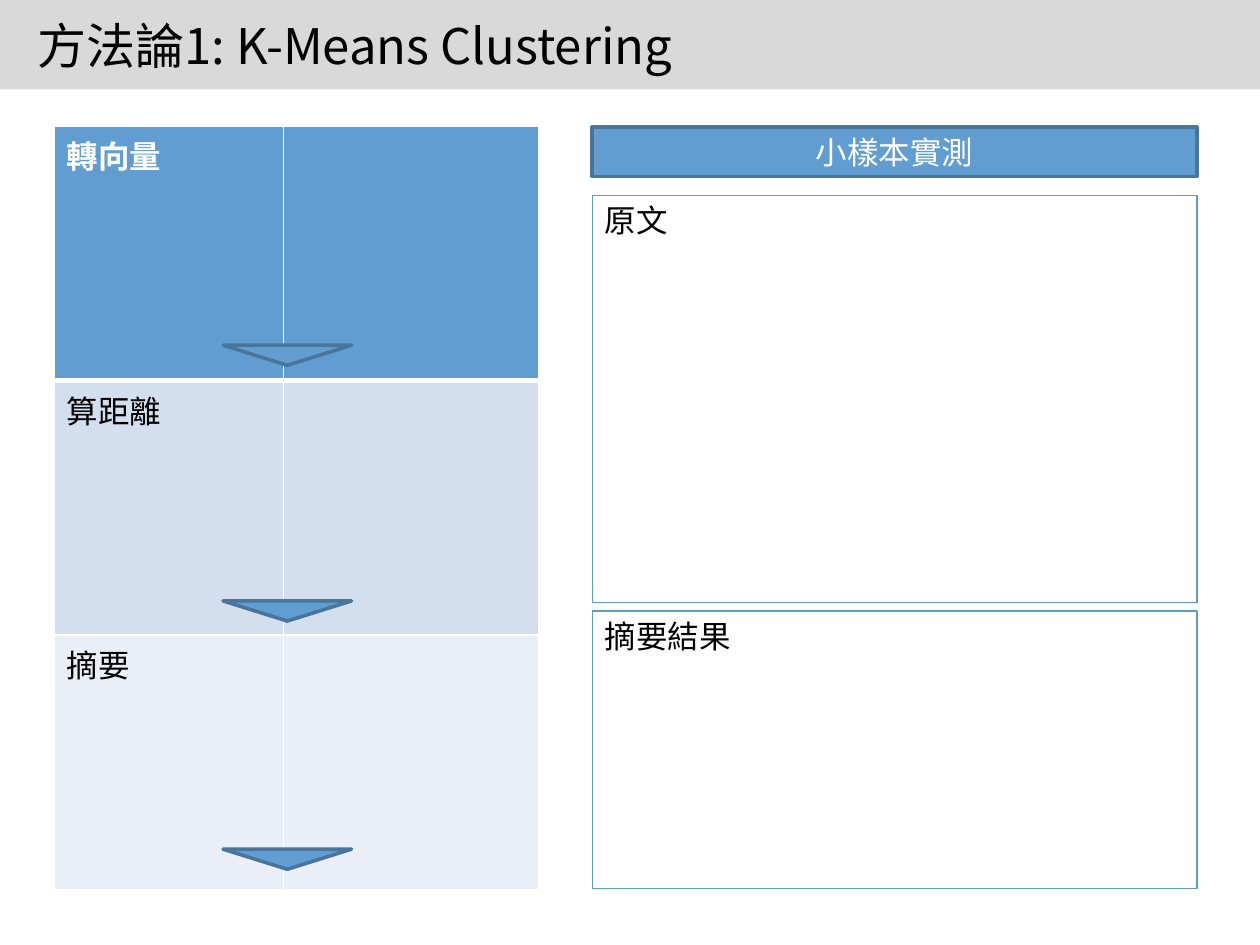
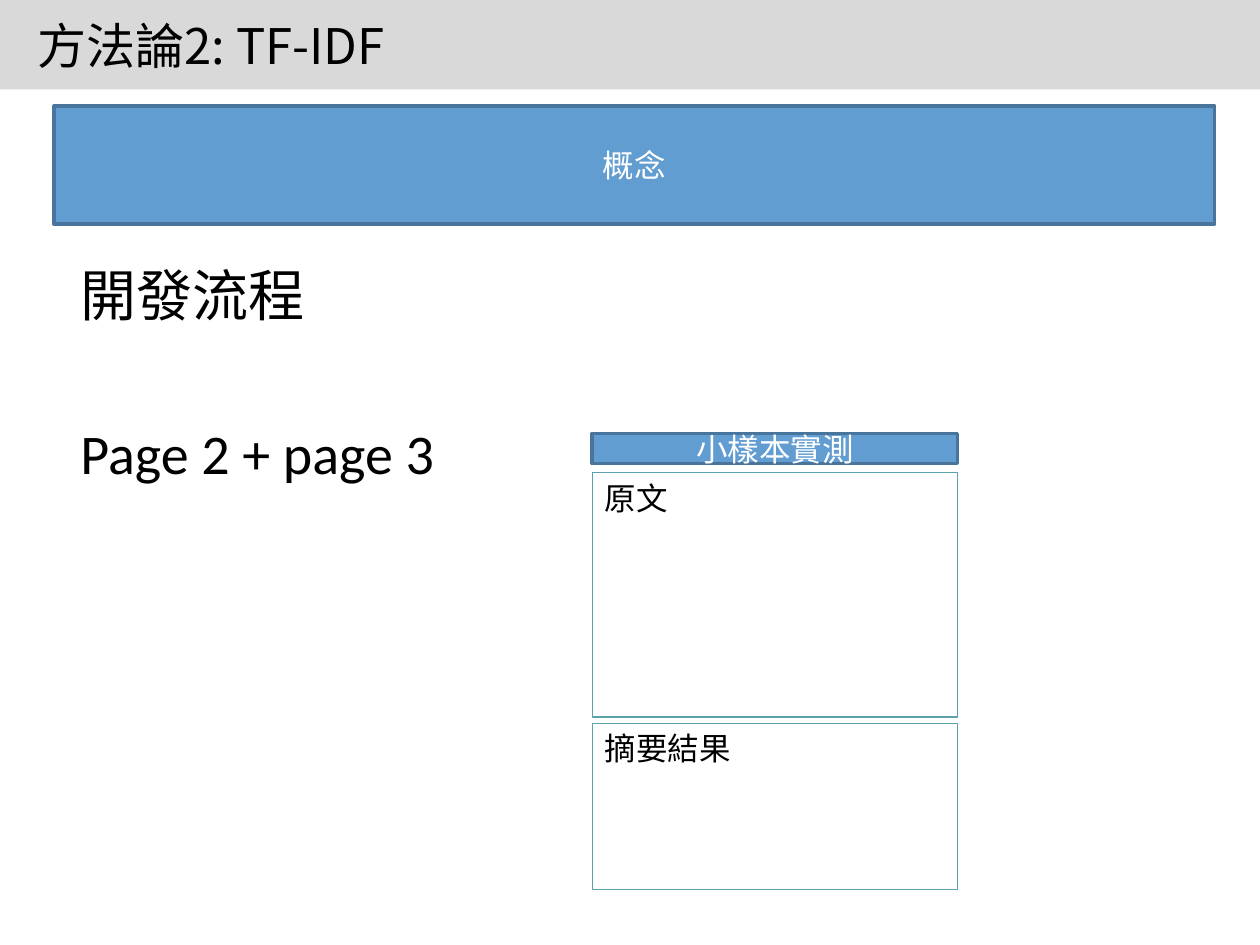
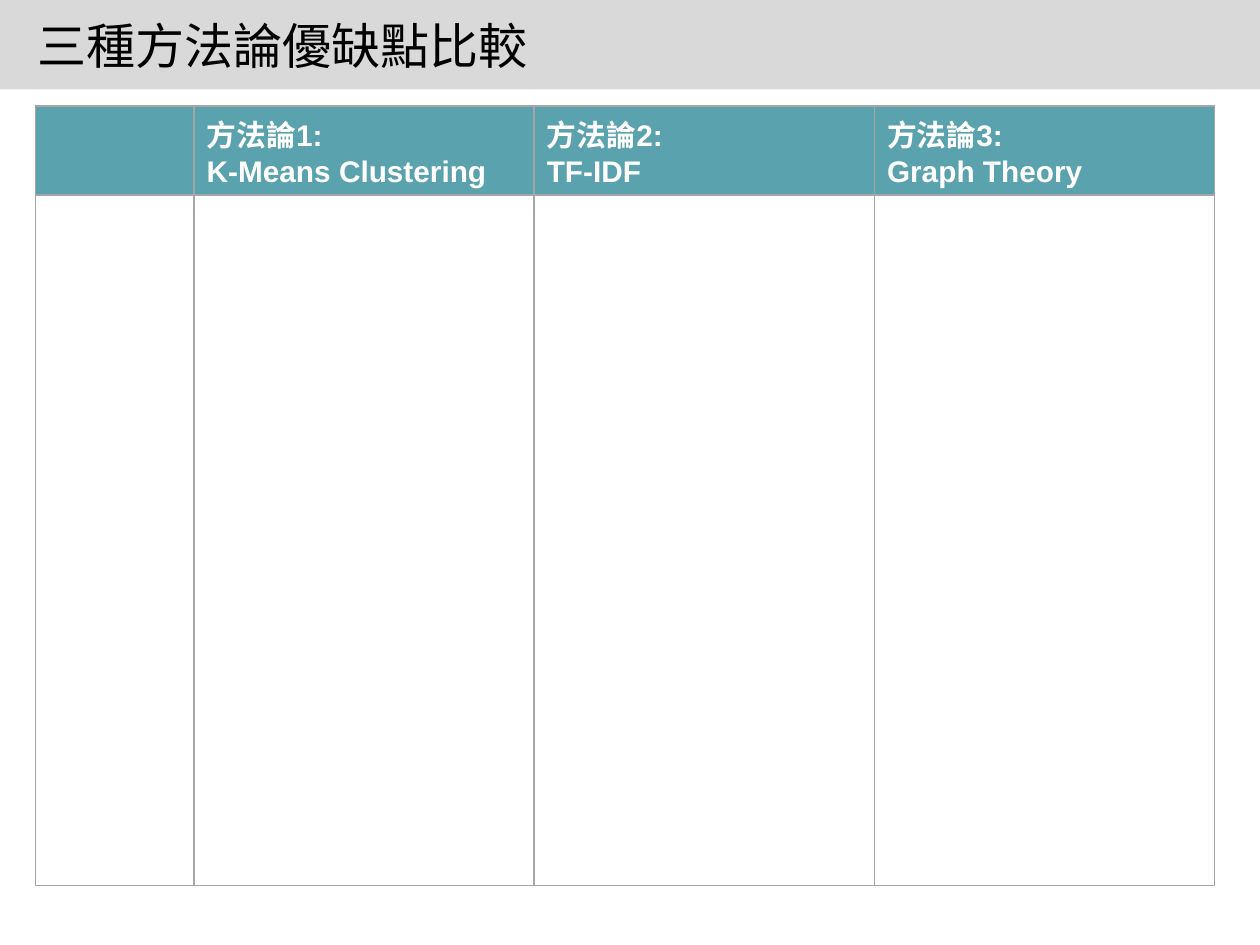
from lxml.etree import SubElement
from pptx import Presentation
from pptx.dml.color import RGBColor
from pptx.enum.shapes import MSO_SHAPE as Preset
from pptx.enum.text import MSO_ANCHOR as Anchor, PP_ALIGN as Align
from pptx.oxml.ns import qn
from pptx.util import Inches, Pt

COLORS = {
    "band": "D9D9D9",
    "blue": "629DD1",
    "blue_edge": "49749B",
    "blue_light": "D3DFEE",
    "blue_pale": "EAEFF7",
    "teal": "5AA2AE",
    "grid": "A6A6A6",
    "white": "FFFFFF",
    "black": "000000",
}
TITLE_FONT, BODY_FONT, TABLE_FONT = "Noto Sans CJK SC", "Calibri", "Arial"


def color(name):
    return RGBColor.from_string(COLORS[name])


def lengths(*values):
    return [Inches(value) for value in values]


class Deck:
    def __init__(self):
        self.presentation = Presentation()
        self.presentation.slide_width = Inches(10)
        self.presentation.slide_height = Inches(7.5)
        self.layout = self.presentation.slide_layouts[5]
        self.slide = None

    def add_slide(self, title):
        is_first = self.slide is None
        self.slide = self.presentation.slides.add_slide(self.layout)
        if is_first:
            self.add_layout_band()
        shape = self.slide.shapes.title
        shape.left, shape.top, shape.width, shape.height = lengths(0.2, 0.13, 9, 0.46)
        shape.text_frame.text = title
        shape.text_frame.vertical_anchor = Anchor.MIDDLE
        self.format_text(shape.text_frame, 28, "black", font=TITLE_FONT)

    def add_layout_band(self):
        band = self.add_shape((0, 0, 10, 0.71), "band")
        self.layout.shapes._spTree.insert(2, band._element)

    def format_text(self, frame, size, ink, font=BODY_FONT, bold=False, align=Align.LEFT):
        for paragraph in frame.paragraphs:
            paragraph.alignment = align
            paragraph.font.name = font
            paragraph.font.size = Pt(size)
            paragraph.font.bold = bold
            paragraph.font.color.rgb = color(ink)

    def add_shape(self, box, fill=None, edge=None, weight=2, preset=Preset.RECTANGLE, shapes=None):
        shape = (shapes or self.slide.shapes).add_shape(preset, *lengths(*box))
        shape.shadow.inherit = False
        if fill:
            shape.fill.solid()
            shape.fill.fore_color.rgb = color(fill)
        else:
            shape.fill.background()
        if edge:
            shape.line.color.rgb = color(edge)
            shape.line.width = Pt(weight)
        else:
            shape.line.fill.background()
        return shape

    def add_banner(self, box, text, shapes=None):
        shape = self.add_shape(box, "blue", "blue_edge", shapes=shapes)
        shape.text_frame.text = text
        shape.text_frame.vertical_anchor = Anchor.MIDDLE
        self.format_text(shape.text_frame, 18, "white", align=Align.CENTER)

    def add_frame(self, box, text, shapes):
        shape = self.add_shape(box, edge="teal", weight=0.75, shapes=shapes)
        shape.text_frame.text = text
        shape.text_frame.vertical_anchor = Anchor.TOP
        self.format_text(shape.text_frame, 18, "black")

    def add_sample_panel(self, width, banner, source, summary):
        shapes = self.slide.shapes.add_group_shape().shapes
        left = 4.7
        self.add_banner((left, banner[0], width, banner[1]), "小樣本實測", shapes)
        for text, (top, height) in (("原文", source), ("摘要結果", summary)):
            self.add_frame((left, top, width, height), text, shapes)

    def add_down_arrow(self, top):
        shape = self.add_shape((1.77, top, 1.02, 0.16), "blue", "blue_edge",
                               preset=Preset.ISOSCELES_TRIANGLE)
        shape._element.spPr.get_or_add_xfrm().set("flipV", "1")

    def add_text(self, box, lines, size, gap):
        frame = self.slide.shapes.add_textbox(*lengths(*box)).text_frame
        frame.word_wrap = True
        frame.text = "\n".join(lines)
        self.format_text(frame, size, "black")
        for paragraph in frame.paragraphs[1:]:
            paragraph.space_before = Pt(gap)

    def add_table(self, left, top, widths, heights, rows, row_fills, edge,
                  size, font, header_edge=1):
        table = self.slide.shapes.add_table(
            len(heights), len(widths),
            *lengths(left, top, sum(widths), sum(heights))).table
        for column, width in zip(table.columns, widths):
            column.width = Inches(width)
        for row, height in zip(table.rows, heights):
            row.height = Inches(height)
        for r, (texts, fill) in enumerate(zip(rows, row_fills)):
            is_header = r == 0
            for c, text in enumerate(texts):
                cell = table.cell(r, c)
                self.set_borders(cell, edge,
                                 top=header_edge if r == 1 else 1,
                                 bottom=header_edge if is_header else 1)
                if fill:
                    cell.fill.solid()
                    cell.fill.fore_color.rgb = color(fill)
                else:
                    cell.fill.background()
                cell.text = text
                self.format_text(cell.text_frame, size, "white" if is_header else "black",
                                 font=font, bold=is_header)

    def set_borders(self, cell, edge, top, bottom):
        properties = cell._tc.get_or_add_tcPr()
        for side, weight in (("L", 1), ("R", 1), ("T", top), ("B", bottom)):
            line = SubElement(properties, qn(f"a:ln{side}"), w=str(Pt(weight)))
            solid = SubElement(line, qn("a:solidFill"))
            SubElement(solid, qn("a:srgbClr"), val=COLORS[edge])


def build_clustering(deck):
    deck.add_slide("方法論1: K-Means Clustering")
    deck.add_table(0.43, 1, [1.82, 2.03], [2.02] * 3,
                   [[step, ""] for step in ("轉向量", "算距離", "摘要")],
                   ["blue", "blue_light", "blue_pale"], "white", 18, BODY_FONT,
                   header_edge=3)
    for top in (2.74, 4.77, 6.74):
        deck.add_down_arrow(top)
    deck.add_sample_panel(4.8, banner=(1.01, 0.39), source=(1.55, 3.23), summary=(4.85, 2.2))


def build_tf_idf(deck):
    deck.add_slide("方法論2: TF-IDF")
    deck.add_banner((0.43, 0.84, 9.21, 0.94), "概念")
    deck.add_text((0.54, 2.02, 9, 4.95), ["開發流程", "Page 2 + page 3"], 32, gap=52)
    deck.add_sample_panel(2.9, banner=(3.44, 0.24), source=(3.75, 1.94), summary=(5.74, 1.32))


def build_comparison(deck):
    deck.add_slide("三種方法論優缺點比較")
    methods = ["K-Means Clustering", "TF-IDF", "Graph Theory"]
    header = [""] + [f"方法論{number}:\n{name}" for number, name in enumerate(methods, 1)]
    deck.add_table(0.28, 0.84, [1.26] + [2.7] * 3, [0.7, 5.48],
                   [header, [""] * 4], ["teal", None], "grid", 17, TABLE_FONT)


def main():
    deck = Deck()
    build_clustering(deck)
    build_tf_idf(deck)
    build_comparison(deck)
    deck.presentation.save("out.pptx")


if __name__ == "__main__":
    main()
